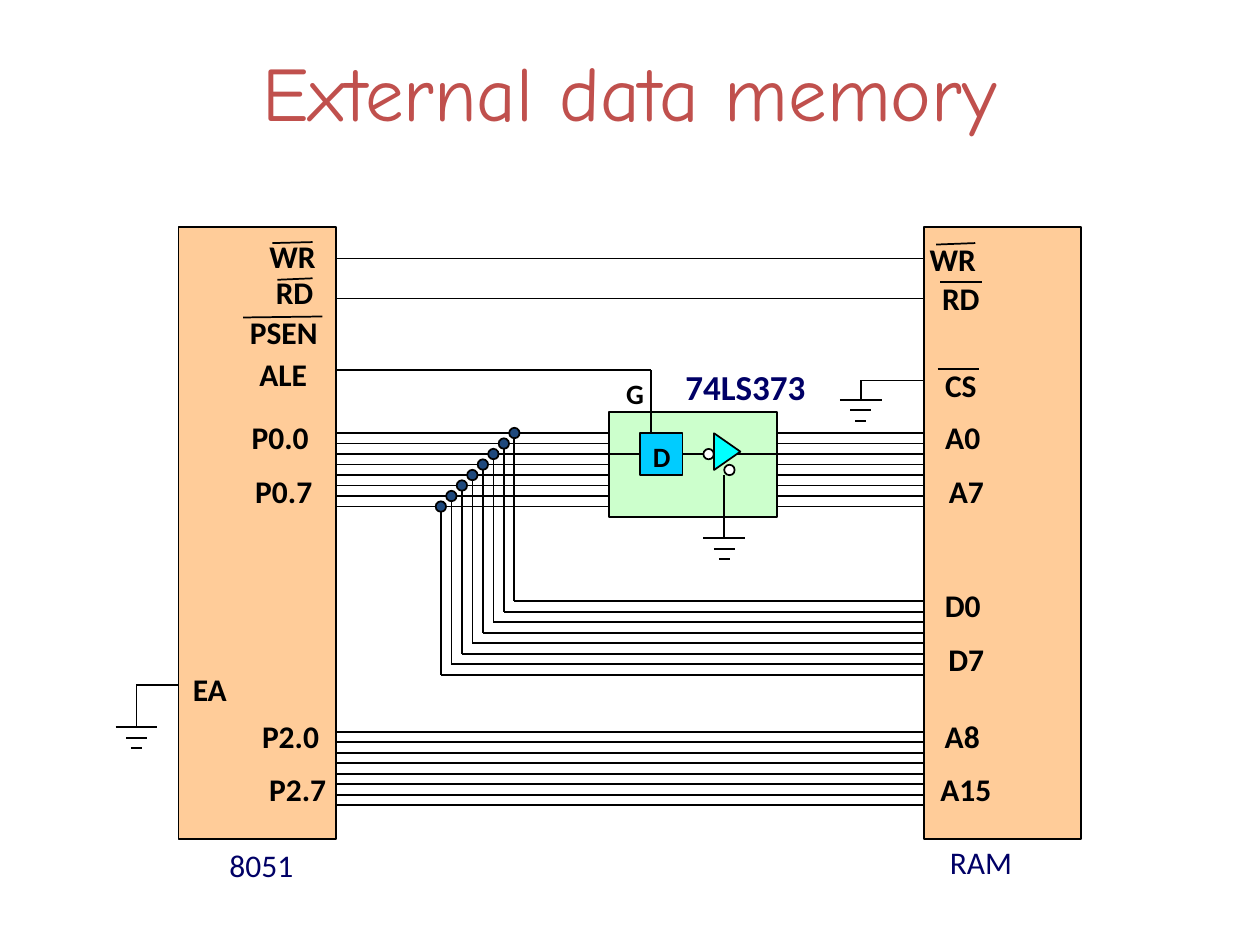
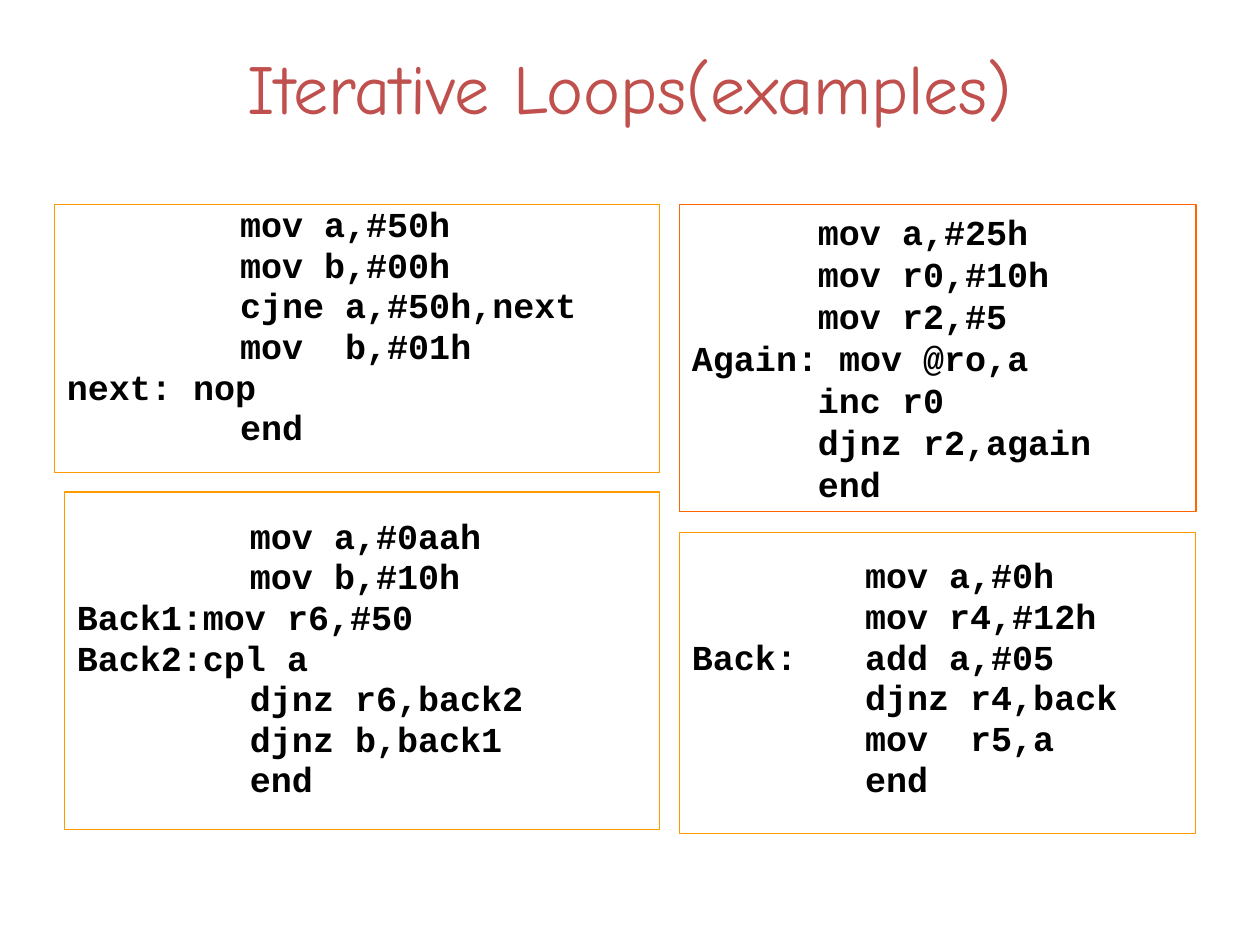
import pptx
import pptx.util
import pptx.dml.color
import pptx.enum.shapes
import pptx.enum.text
from lxml import etree

Cm, Pt = pptx.util.Cm, pptx.util.Pt
Color = pptx.dml.color.RGBColor.from_string
Shape = pptx.enum.shapes.MSO_SHAPE
Align = pptx.enum.text.PP_ALIGN

COLORS = {
    "title": "C0504D", "ink": "000000", "navy": "000066",
    "chip": "FFCC99", "latch": "CCFFCC", "flipflop": "00CCFF",
    "buffer": "00FFFF", "white": "FFFFFF", "junction": "1F497D",
    "amber": "FF9900", "orange": "FF6600",
}
BUS_WIDTH = 8
PITCH = 2.54 / 12  # distance between bus wires, in cm


def add_text(page, lines, left, top, width, height, size, color="ink",
             font="Calibri", bold=True, align=Align.CENTER, gap=0):
    box = page.shapes.add_textbox(Cm(left), Cm(top), Cm(width), Cm(height))
    frame = box.text_frame
    frame.word_wrap = True
    for number, line in enumerate(lines):
        para = frame.add_paragraph() if number else frame.paragraphs[0]
        para.alignment = align
        if number and gap:
            para.space_before = Pt(gap)
        span = para.add_run()
        span.text = line
        span.font.name = font
        span.font.size = Pt(size)
        span.font.bold = bold
        span.font.color.rgb = Color(COLORS[color])
    return box


def add_wire(page, x1, y1, x2, y2):
    wire = page.shapes.add_connector(
        pptx.enum.shapes.MSO_CONNECTOR.STRAIGHT, Cm(x1), Cm(y1), Cm(x2), Cm(y2))
    wire.line.color.rgb = Color(COLORS["ink"])
    wire.line.width = Pt(1)
    etree.SubElement(wire._element.spPr, pptx.oxml.ns.qn("a:effectLst"))
    return wire


deck = pptx.Presentation()
deck.slide_width, deck.slide_height = Cm(25.4), Cm(19.05)

# Pages and titles
pages = []
for title, size, height in [("External data memory", 44, 3.18),
                            ("Iterative Loops(examples)", 40, 1.75)]:
    page = deck.slides.add_slide(deck.slide_layouts[6])
    add_text(page, [title], 1.27, 0.78, 22.86, height, size, "title",
             "Comic Neue", bold=False)
    pages.append(page)
circuit, loops = pages

# Circuit: edges of the chips and first wires of the buses
CPU_RIGHT, RAM_LEFT = 6.77, 18.63
LATCH_LEFT, LATCH_RIGHT = 12.28, 15.66
FLIPFLOP_LEFT, FLIPFLOP_SIDE = 12.91, 0.85
ADDRESS_Y, DATA_Y, HIGH_Y = 8.73, 12.12, 14.75
TAP_X = 10.37
DOT = 0.21
latch_y = ADDRESS_Y + 2 * PITCH  # wire through the flip-flop
middle_y = ADDRESS_Y + 3 * PITCH  # wire at the middle of the latch

# Chips, latch, flip-flop, buffer and junctions
parts = [
    (Shape.RECTANGLE, 3.6, 4.57, 3.17, 12.34, "chip"),
    (Shape.RECTANGLE, RAM_LEFT, 4.57, 3.17, 12.34, "chip"),
    (Shape.RECTANGLE, LATCH_LEFT, middle_y - 1.06, 3.38, 2.12, "latch"),
    (Shape.RECTANGLE, FLIPFLOP_LEFT, latch_y - FLIPFLOP_SIDE / 2,
     FLIPFLOP_SIDE, FLIPFLOP_SIDE, "flipflop"),
    (Shape.ISOSCELES_TRIANGLE, 14.29, 8.84, 0.74, 0.53, "buffer"),
    (Shape.OVAL, 14.6, 9.37, DOT, DOT, "white"),
    (Shape.OVAL, 14.18, 9.05, DOT, DOT, "white"),
]
for bit in range(BUS_WIDTH):
    parts.append((Shape.OVAL, TAP_X - bit * PITCH - DOT / 2,
                  ADDRESS_Y + bit * PITCH - DOT / 2, DOT, DOT, "junction"))
drawn = []
for kind, left, top, width, height, color in parts:
    part = circuit.shapes.add_shape(kind, Cm(left), Cm(top), Cm(width), Cm(height))
    part.shadow.inherit = False
    part.fill.solid()
    part.fill.fore_color.rgb = Color(COLORS[color])
    part.line.color.rgb = Color(COLORS["ink"])
    part.line.width = Pt(1)
    drawn.append(part)
cpu, ram, latch, flipflop, buffer, *dots = drawn
buffer.rotation = 90

# Buses: low address through the latch, data taps, high address
for bit in range(BUS_WIDTH):
    shift = bit * PITCH
    address, data, tap = ADDRESS_Y + shift, DATA_Y + shift, TAP_X - shift
    into_latch = add_wire(circuit, CPU_RIGHT, address, LATCH_LEFT, address)
    from_latch = add_wire(circuit, LATCH_RIGHT, address, RAM_LEFT, address)
    if bit == 3:
        into_latch.end_connect(latch, 1)
        from_latch.begin_connect(latch, 3)
    add_wire(circuit, tap, address, tap, data)
    add_wire(circuit, tap, data, RAM_LEFT, data)
    add_wire(circuit, CPU_RIGHT, HIGH_Y + shift, RAM_LEFT, HIGH_Y + shift)

# Wires inside the latch
into_flipflop = add_wire(circuit, LATCH_LEFT, latch_y, FLIPFLOP_LEFT, latch_y)
into_flipflop.end_connect(flipflop, 1)
from_flipflop = add_wire(circuit, FLIPFLOP_LEFT + FLIPFLOP_SIDE, latch_y,
                         LATCH_RIGHT, latch_y)
from_flipflop.begin_connect(flipflop, 3)

# Control wires
for ends in [
    (CPU_RIGHT, 5.21, RAM_LEFT, 5.21), (CPU_RIGHT, 6.02, RAM_LEFT, 6.02),
    (CPU_RIGHT, 7.46, 13.12, 7.46), (13.12, 7.46, 13.12, ADDRESS_Y),
    (14.6, 9.58, 14.6, 10.85),
    (17.35, 7.67, RAM_LEFT, 7.67), (17.35, 7.67, 17.35, 8.05),
    (2.75, 13.81, 3.6, 13.81), (2.75, 13.81, 2.75, 14.66),
]:
    add_wire(circuit, *ends)

# Ground symbols
for center, top in [(14.6, 10.85), (17.35, 8.06), (2.75, 14.66)]:
    for step, half in enumerate([0.42, 0.21, 0.11]):
        bar_y = top + step * PITCH
        add_wire(circuit, center - half, bar_y, center + half, bar_y)

# Bars over the active-low signals
for ends in [
    (5.49, 4.9, 6.3, 4.88), (5.59, 5.64, 6.3, 5.61), (4.9, 6.4, 6.5, 6.38),
    (18.87, 4.93, 19.66, 4.9), (18.95, 5.69, 19.79, 5.69),
    (18.9, 7.44, 19.74, 7.44),
]:
    add_wire(circuit, *ends)

# Buffer, bubbles and junctions lie over the wires
for part in [buffer, *dots]:
    circuit.shapes._spTree.append(part._element)

# Pin labels
for lines, left, top, width in [
    (["PSEN"], 4.45, 6.18, 2.54), (["ALE"], 4.44, 7.04, 2.54),
    (["P0.0 ", "P0.7"], 4.45, 8.31, 2.54), (["EA"], 3.38, 13.39, 1.7),
    (["P2.0 ", " P2.7"], 4.66, 14.32, 2.54),
    (["RD"], 18.63, 5.51, 1.48), (["CS"], 18.63, 7.25, 1.48),
    (["A0 ", "A7"], 18.42, 8.31, 2.12), (["D0 ", "D7"], 18.42, 11.69, 2.12),
    (["A8 ", "A15"], 18.41, 14.32, 2.12),
]:
    add_text(circuit, lines, left, top, width, 1.02 if len(lines) == 1 else 2.16,
             18, gap=9)
for pin, left, top in [("WR", 5.18, 4.65), ("RD", 5.31, 5.38), ("WR", 18.49, 4.72)]:
    add_text(circuit, [pin], left, top, 1.6, 1.02, 18, align=Align.LEFT)

# Names of the parts
add_text(circuit, ["D"], FLIPFLOP_LEFT, ADDRESS_Y, FLIPFLOP_SIDE, 0.94, 16)
add_text(circuit, ["G"], 12.06, 7.47, 1.48, 0.94, 16)
add_text(circuit, ["74LS373"], 13.34, 7.24, 3.38, 1.09, 20, "navy")
add_text(circuit, ["8051"], 3.9, 16.94, 2.74, 1.27, 18, "navy", bold=False)
add_text(circuit, ["RAM"], 18.29, 16.86, 2.97, 1.27, 18, "navy", bold=False)

# Code listings: place, border, top inset, tight spacing, lines
listings = [
    ((1.1, 4.12, 12.19, 5.41), "amber", 0.13, True,
     ["\t\tmov a,#50h", "\t\tmov b,#00h", "\t\tcjne a,#50h,next",
      "\t\tmov  b,#01h", "next: nop", "\t\tend"]),
    ((13.7, 4.12, 10.41, 6.2), "orange", 0.13, False,
     ["\tmov a,#25h", "\tmov r0,#10h", "\tmov r2,#5", "Again: mov @ro,a",
      "\tinc r0", "\tdjnz r2,again", "\tend"]),
    ((13.7, 10.73, 10.4, 6.07), "amber", 0.6, True,
     ["\t\tmov a,#0h", "\t\tmov r4,#12h", "Back:\tadd a,#05",
      "\t\tdjnz r4,back", "\t\tmov  r5,a", "\t\tend"]),
    ((1.3, 9.92, 11.99, 6.8), "amber", 0.61, True,
     ["\t\tmov a,#0aah", "\t\tmov b,#10h", "Back1:mov r6,#50", "Back2:cpl a",
      "\t\tdjnz r6,back2", "\t\tdjnz b,back1", "\t\tend"]),
]
for place, border, inset, tight, lines in listings:
    box = add_text(loops, lines, *place, 20, font="Courier New",
                   align=Align.LEFT, gap=4 if tight else 0)
    box.line.color.rgb = Color(COLORS[border])
    box.line.width = Pt(0.75)
    box.text_frame.margin_top = Cm(inset)
    for para in box.text_frame.paragraphs:
        settings = para._p.get_or_add_pPr()
        settings.set("defTabSz", str(Cm(2.54)))
        if tight:
            para.line_spacing = 0.8
            settings.set("marL", str(Cm(0.95)))
            settings.set("indent", str(-Cm(0.95)))

deck.save("out.pptx")
